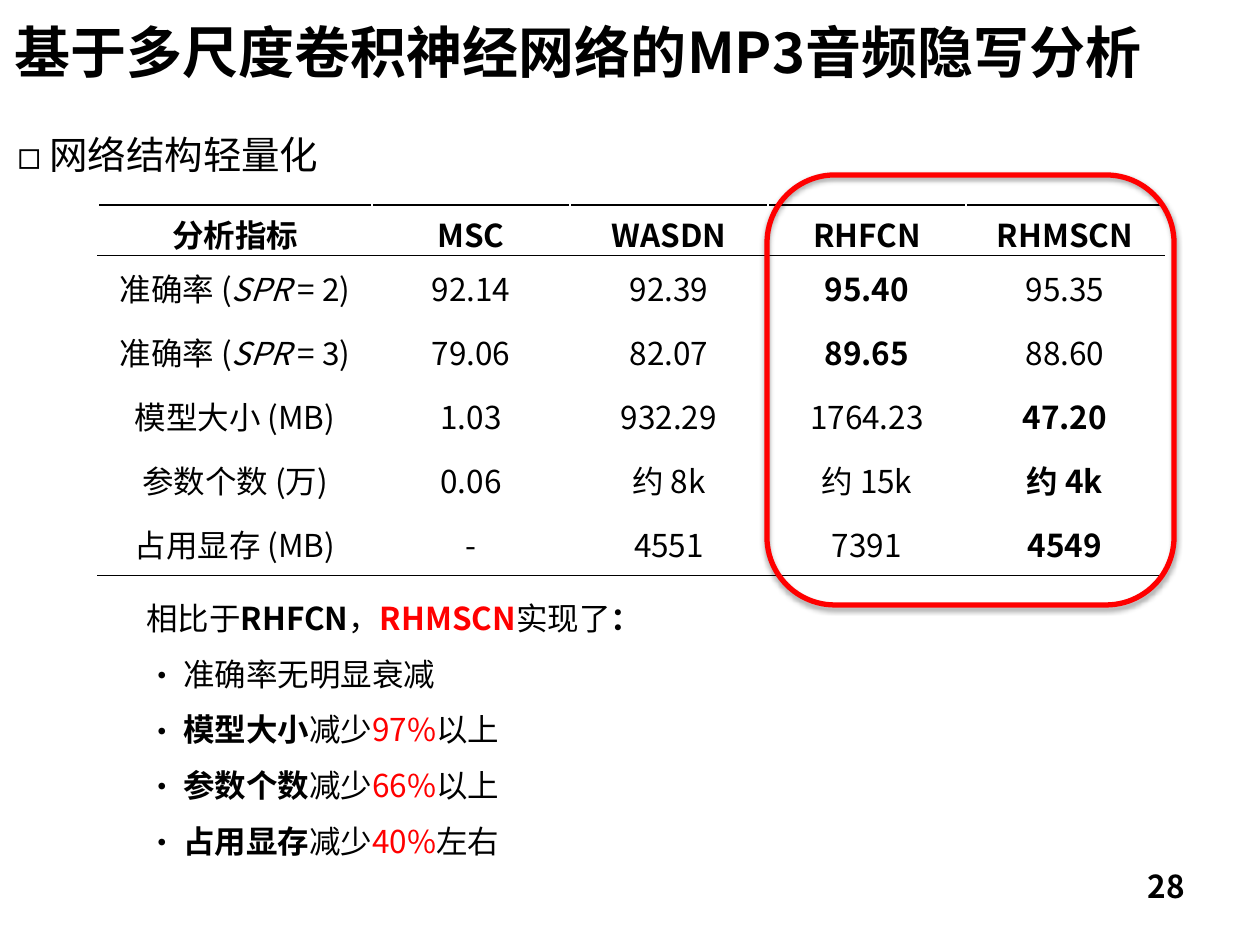
import dataclasses
import pptx
import pptx.dml.color
import pptx.enum.shapes
import pptx.enum.text
import pptx.oxml
import pptx.oxml.ns
import pptx.util

ALIGN = pptx.enum.text.PP_ALIGN
MID = pptx.enum.text.MSO_ANCHOR.MIDDLE
SCALE = 914400 / 126


@dataclasses.dataclass(frozen=True)
class Theme:
    face: str = "Noto Sans CJK SC"
    black: str = "000000"
    white: str = "FFFFFF"
    red: str = "FF0000"
    title: int = 32
    head: int = 22
    body: int = 18


def px(num):
    return pptx.util.Emu(round(num * SCALE))


def rgb(code):
    return pptx.dml.color.RGBColor.from_string(code)


def node(body):
    """Parse an element given as text, with the a: prefix declared."""
    tag, rest = body[:body.index(" ")], body[body.index(" "):]
    return pptx.oxml.parse_xml(f'{tag} {pptx.oxml.ns.nsdecls("a")}{rest}')


class Page:
    def __init__(self, slide, theme):
        self.slide, self.theme = slide, theme

    def runs(self, para, parts, size):
        """Add (text, flags) runs: b is bold, i is italic, r is red."""
        for text, flags in parts:
            run = para.add_run()
            run.text = text
            form = {"name": self.theme.face, "size": pptx.util.Pt(size),
                    "bold": "b" in flags, "italic": "i" in flags}
            for key, val in form.items():
                setattr(run.font, key, val)
            run.font.color.rgb = rgb(self.theme.red if "r" in flags else self.theme.black)
            run.font._element.append(node(f'<a:ea typeface="{self.theme.face}"/>'))

    def bullet(self, para, mark, gap):
        props = para._p.get_or_add_pPr()
        props.set("marL", str(px(gap)))
        props.set("indent", str(-px(gap)))
        props.append(node(f'<a:buFont typeface="{self.theme.face}"/>'))
        props.append(node(f'<a:buChar char="{mark}"/>'))

    def text(self, box, lines, size, form=None, anchor=None):
        """Add a text box; each line is (bullet, gap, runs)."""
        frame = self.slide.shapes.add_textbox(*map(px, box)).text_frame
        frame.word_wrap = True
        if anchor is not None:
            frame.vertical_anchor = anchor
        for num, (mark, gap, parts) in enumerate(lines):
            para = frame.add_paragraph() if num else frame.paragraphs[0]
            if mark:
                self.bullet(para, mark, gap)
            for key, val in (form or {}).items():
                setattr(para, key, val)
            self.runs(para, parts, size)

    def table(self, box, cols, rows, data):
        grid = self.slide.shapes.add_table(len(rows), len(cols), *map(px, box)).table
        for col, wide in zip(grid.columns, cols):
            col.width = px(wide)
        for row, high in zip(grid.rows, rows):
            row.height = px(high)
        last = len(rows) - 1
        for y, line in enumerate(data):
            rules = {"L": False, "R": False, "T": y < 2, "B": y in (0, last)}
            for x, parts in enumerate(line):
                self.cell(grid.cell(y, x), parts, rules)

    def cell(self, cell, parts, rules):
        props = cell._tc.get_or_add_tcPr()
        for side, dark in rules.items():
            tint = self.theme.black if dark else self.theme.white
            props.append(node(f'<a:ln{side} w="12700"><a:solidFill>'
                              f'<a:srgbClr val="{tint}"/></a:solidFill></a:ln{side}>'))
        cell.fill.background()
        cell.vertical_anchor = MID
        para = cell.text_frame.paragraphs[0]
        para.alignment = ALIGN.CENTER
        self.runs(para, parts, self.theme.body)

    def frame(self, box):
        """Add an unfilled rounded outline with a soft shadow below it."""
        kind = pptx.enum.shapes.MSO_SHAPE.ROUNDED_RECTANGLE
        shape = self.slide.shapes.add_shape(kind, *map(px, box))
        shape.fill.background()
        shape.line.color.rgb = rgb(self.theme.red)
        shape.line.width = pptx.util.Pt(3)
        shape.shadow.inherit = False
        glow = shape._element.spPr.find(pptx.oxml.ns.qn("a:effectLst"))
        glow.append(node('<a:outerShdw blurRad="39400" dist="20300" dir="5400000" '
                         f'rotWithShape="0"><a:srgbClr val="{self.theme.black}">'
                         '<a:alpha val="38000"/></a:srgbClr></a:outerShdw>'))


def main():
    deck = pptx.Presentation()
    deck.slide_width, deck.slide_height = px(1260), px(945)
    theme = Theme()
    page = Page(deck.slides.add_slide(deck.slide_layouts[6]), theme)

    page.text((903, 861, 294, 66), [("", 0, [("28", "b")])], theme.body,
              {"alignment": ALIGN.RIGHT})
    page.text((5, 125, 1255, 59), [("◻", 32, [("网络结构轻量化", "")])], theme.head)
    page.text((2, 0, 1258, 103), [("", 0, [("基于多尺度卷积神经网络的MP3音频隐写分析", "b")])],
              theme.title, anchor=MID)

    names = ["分析指标", "MSC", "WASDN", "RHFCN", "RHMSCN"]
    stats = [
        ("准确率 (SPR = 2)", "92.14", "92.39", "95.40", "95.35"),
        ("准确率 (SPR = 3)", "79.06", "82.07", "89.65", "88.60"),
        ("模型大小 (MB)", "1.03", "932.29", "1764.23", "47.20"),
        ("参数个数 (万)", "0.06", "约 8k", "约 15k", "约 4k"),
        ("占用显存 (MB)", "-", "4551", "7391", "4549"),
    ]
    best = [3, 3, 4, 4, 4]
    data = [[[(name, "b")] for name in names]]
    for top, line in zip(best, stats):
        row = [[(word, "b" if x == top else "")] for x, word in enumerate(line)]
        pre, var, post = line[0].partition("SPR")
        if var:
            row[0] = [(pre, ""), (var, "i"), (post, "")]
        data.append(row)
    page.table((98, 205, 1066, 373), [274] + [198] * 4, [42] + [64] * 5, data)

    page.frame((767, 175, 407, 430))

    lead = [("相比于", ""), ("RHFCN", "b"), ("，", ""), ("RHMSCN", "br"),
            ("实现了", ""), ("：", "b")]
    gains = [("模型大小", "97%", "以上"), ("参数个数", "66%", "以上"),
             ("占用显存", "40%", "左右")]
    notes = [("", 0, lead), ("•", 37, [("准确率无明显衰减", "")])]
    notes += [("•", 37, [(what, "b"), ("减少", ""), (rate, "r"), (tail, "")])
              for what, rate, tail in gains]
    page.text((134, 585, 539, 285), notes, theme.body,
              {"line_spacing": 1.2, "space_after": pptx.util.Pt(6)})

    deck.save("out.pptx")


if __name__ == "__main__":
    main()
